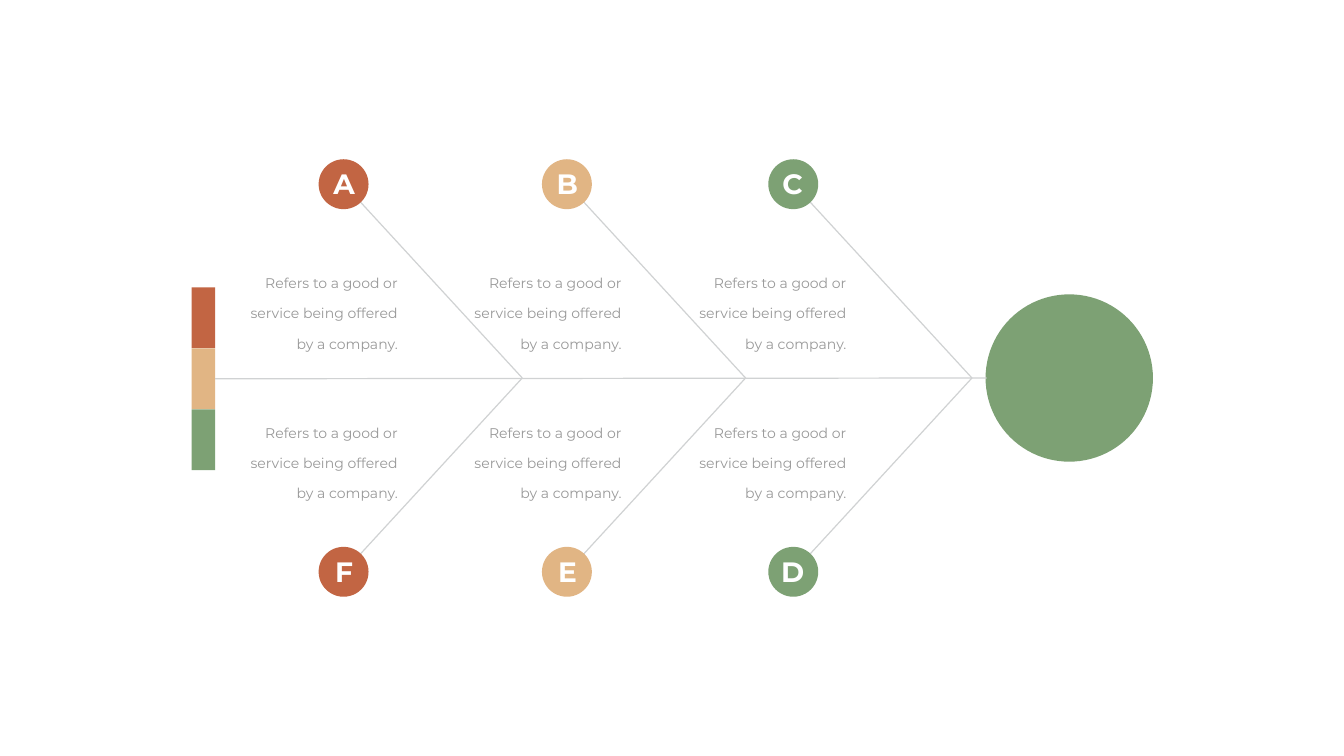
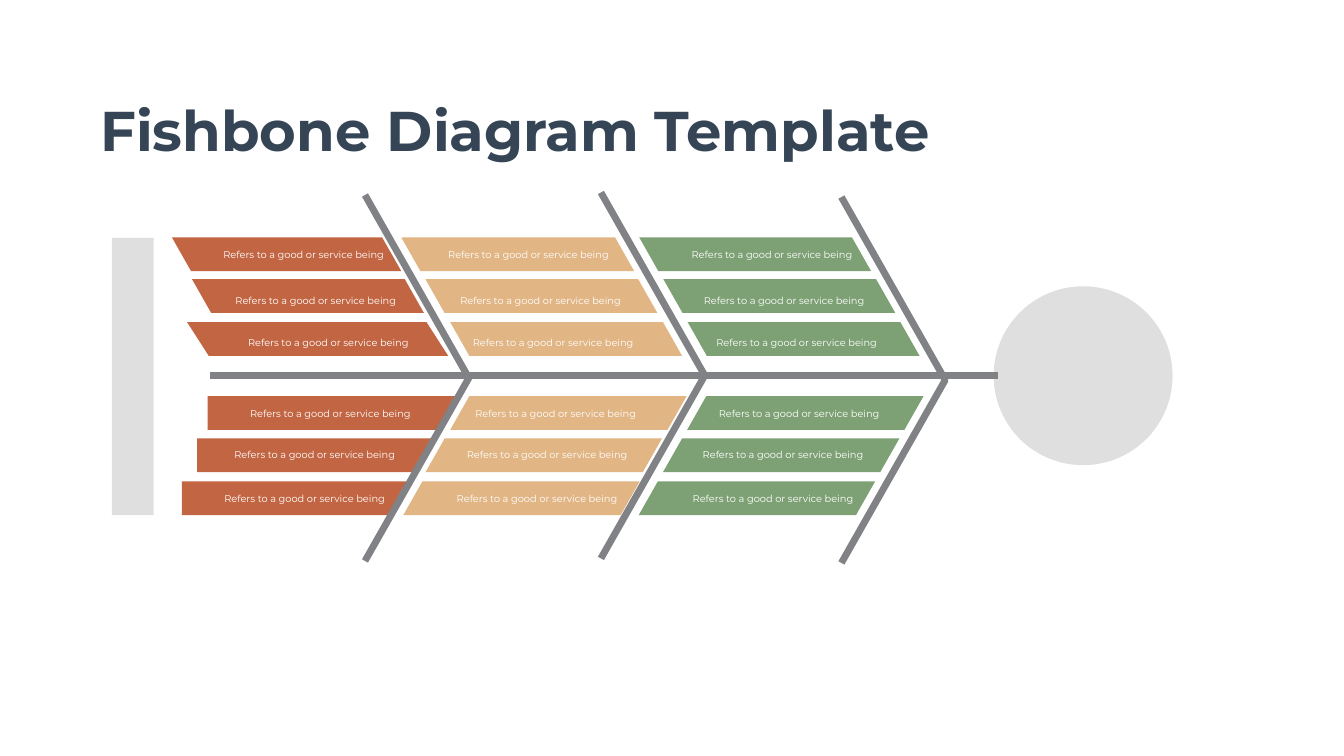
from dataclasses import dataclass

from lxml.etree import SubElement
from pptx import Presentation
from pptx.dml.color import RGBColor
from pptx.enum.shapes import MSO_CONNECTOR, MSO_SHAPE
from pptx.enum.text import MSO_AUTO_SIZE, PP_ALIGN
from pptx.oxml.ns import qn
from pptx.util import Emu, Pt

PX = 9144  # EMU per px, 100 px to the inch


@dataclass(frozen=True)
class Theme:
    font: str = "Montserrat"
    rust: str = "C26543"
    sand: str = "E1B584"
    sage: str = "7DA174"
    navy: str = "364556"
    grey: str = "999999"
    white: str = "FFFFFF"
    thin_line: str = "D0D2D3"
    thick_line: str = "818285"
    veil: str = "808080"
    veil_alpha: int = 25
    thin: float = 1.73
    thick: float = 9.84
    title_size: int = 80
    letter_size: int = 40
    body_size: int = 20
    bar_size: int = 14


T = Theme()
COLOURS = (T.rust, T.sand, T.sage)


@dataclass(frozen=True)
class Rib:
    """A pair of lettered hubs joined by a bent bone."""
    x: int
    letter_x: int
    text_x: int
    letters: str
    colour: str


@dataclass(frozen=True)
class HubRow:
    """Vertical places of one row of hubs."""
    hub_y: int
    letter_y: int
    text_y: int


@dataclass(frozen=True)
class Bar:
    x: int
    w: int
    text_x: int
    slant: int = 38
    square: bool = False  # upright left edge


@dataclass(frozen=True)
class BarRow:
    y: int
    text_y: int
    upper: bool
    bars: tuple[Bar, Bar, Bar]


@dataclass(frozen=True)
class Bone:
    x: int
    y: int


RIBS = (
    Rib(682, 603, 453, "AF", T.rust),
    Rib(1125, 1046, 897, "BE", T.sand),
    Rib(1574, 1493, 1343, "CD", T.sage),
)
HUB_ROWS = (HubRow(316, 325, 507), HubRow(1085, 1096, 804))
HUB = 99

BAR_ROWS = (
    BarRow(471, 470, True, (Bar(341, 455, 419), Bar(796, 462, 865), Bar(1268, 460, 1348))),
    BarRow(554, 561, True, (Bar(381, 460, 443), Bar(844, 460, 889), Bar(1316, 460, 1372))),
    BarRow(639, 644, True, (Bar(371, 518, 468, 43), Bar(893, 460, 914), Bar(1364, 460, 1397))),
    BarRow(786, 785, False, (Bar(412, 501, 472, 41, True), Bar(893, 469, 919), Bar(1363, 469, 1402))),
    BarRow(870, 866, False, (Bar(391, 469, 441, square=True), Bar(844, 469, 902), Bar(1315, 469, 1370))),
    BarRow(955, 954, False, (Bar(361, 455, 421, square=True), Bar(800, 469, 882), Bar(1267, 469, 1350))),
)
BAR_H = 67
BONES = (Bone(1669, 391), Bone(1192, 382), Bone(724, 387))


def px(*values: int) -> list[Emu]:
    return [Emu(v * PX) for v in values]


def rgb(colour: str) -> RGBColor:
    return RGBColor.from_string(colour)


def paint(shape, colour: str, alpha: int = 100) -> None:
    shape.shadow.inherit = False
    shape.fill.solid()
    shape.fill.fore_color.rgb = rgb(colour)
    shape.line.fill.background()
    if alpha < 100:
        clr = shape.element.spPr.find(f"{qn('a:solidFill')}/{qn('a:srgbClr')}")
        SubElement(clr, qn("a:alpha"), val=str(alpha * 1000))


def add_block(s, kind: MSO_SHAPE, x: int, y: int, w: int, h: int,
              colour: str, alpha: int = 100):
    sp = s.shapes.add_shape(kind, *px(x, y, w, h))
    paint(sp, colour, alpha)
    return sp


def add_outline(s, points: list[tuple[int, int]], closed: bool):
    fb = s.shapes.build_freeform(*points[0], scale=PX)
    fb.add_line_segments(points[1:], close=closed)
    return fb.convert_to_shape()


def add_bone(s, x: int, y: int, reach: int, half: int, colour: str, width: float) -> None:
    points = [(x, y), (x + reach, y + half), (x, y + 2 * half)]
    sp = add_outline(s, points, closed=False)
    sp.shadow.inherit = False
    sp.fill.background()
    sp.line.color.rgb = rgb(colour)
    sp.line.width = Pt(width)


def add_spine(s, x1: int, y1: int, x2: int, y2: int, colour: str, width: float):
    cx = s.shapes.add_connector(MSO_CONNECTOR.STRAIGHT, *px(x1, y1, x2, y2))
    cx.line.color.rgb = rgb(colour)
    cx.line.width = Pt(width)
    SubElement(cx.element.spPr, qn("a:effectLst"))
    return cx


def add_text(s, x: int, y: int, w: int, h: int, text: str, size: int, colour: str,
             align: PP_ALIGN = PP_ALIGN.LEFT, bold: bool = False, wrap: bool = True,
             spacing: float | Pt | None = None, inset: tuple[int, int] = (10, 5)) -> None:
    tf = s.shapes.add_textbox(*px(x, y, w, h)).text_frame
    tf.word_wrap = wrap
    tf.auto_size = MSO_AUTO_SIZE.SHAPE_TO_FIT_TEXT
    tf.margin_left, tf.margin_top = px(*inset)
    tf.margin_right, tf.margin_bottom = px(*inset)
    p = tf.paragraphs[0]
    p.alignment = align
    p.line_spacing = spacing
    r = p.add_run()
    r.text = text
    r.font.name = T.font
    r.font.size = Pt(size)
    r.font.bold = bold
    r.font.color.rgb = rgb(colour)


def add_bar(s, bar: Bar, row: BarRow, colour: str) -> None:
    left, right, top, bottom = bar.x, bar.x + bar.w, row.y, row.y + BAR_H
    inner_left = left if bar.square else left + bar.slant
    inner_right = right - bar.slant
    if row.upper:
        points = [(left, top), (inner_right, top), (right, bottom), (inner_left, bottom)]
    else:
        points = [(inner_left, top), (right, top), (inner_right, bottom), (left, bottom)]
    paint(add_outline(s, points, closed=True), colour)


def build_lettered(s) -> None:
    # Head, tail and spine
    add_block(s, MSO_SHAPE.OVAL, 1955, 584, 332, 332, T.sage)
    tail = [add_block(s, MSO_SHAPE.RECTANGLE, 380, 570 + 121 * i, 47, 121, colour)
            for i, colour in enumerate(COLOURS)]
    spine = add_spine(s, 1957, 750, 427, 751, T.thin_line, T.thin)
    spine.end_connect(tail[1], 3)

    # Bones under their hubs
    for rib in RIBS:
        add_bone(s, rib.x, 365, 354, 385, T.thin_line, T.thin)

    # Hubs, descriptions and letters
    for rib in RIBS:
        for row, letter in zip(HUB_ROWS, rib.letters):
            add_block(s, MSO_SHAPE.OVAL, rib.x - HUB // 2 - 1, row.hub_y, HUB, HUB, rib.colour)
            add_text(s, rib.text_x, row.text_y, 360, 197,
                     "Refers to a good or service being offered by a company.",
                     T.body_size, T.grey, PP_ALIGN.RIGHT, spacing=Pt(43), inset=(24, 12))
            add_text(s, rib.letter_x, row.letter_y, 159, 77, letter,
                     T.letter_size, T.white, PP_ALIGN.CENTER, bold=True)


def build_barred(s) -> None:
    # Slanted bars
    for row in BAR_ROWS:
        for bar, colour in zip(row.bars, COLOURS):
            add_bar(s, bar, row, colour)

    # Spine and bones
    add_spine(s, 1979, 745, 416, 745, T.thick_line, T.thick)
    for bone in BONES:
        add_bone(s, bone.x, bone.y, 206, 363, T.thick_line, T.thick)

    # Tail and head
    add_block(s, MSO_SHAPE.RECTANGLE, 222, 472, 83, 550, T.veil, T.veil_alpha)
    add_block(s, MSO_SHAPE.OVAL, 1971, 568, 355, 355, T.veil, T.veil_alpha)

    # Bar labels
    for row in BAR_ROWS:
        for bar in row.bars:
            add_text(s, bar.text_x, row.text_y, 386, 55, "Refers to a good or service being",
                     T.bar_size, T.white, spacing=1.5, inset=(24, 12))

    # Title
    add_text(s, 189, 185, 1671, 145, "Fishbone Diagram Template",
             T.title_size, T.navy, bold=True, wrap=False)


def main() -> None:
    prs = Presentation()
    prs.slide_width, prs.slide_height = px(2666, 1500)
    for build in (build_lettered, build_barred):
        s = prs.slides.add_slide(prs.slide_layouts[6])
        s.background.fill.solid()
        s.background.fill.fore_color.rgb = rgb(T.white)
        build(s)
    prs.save("out.pptx")


if __name__ == "__main__":
    main()
